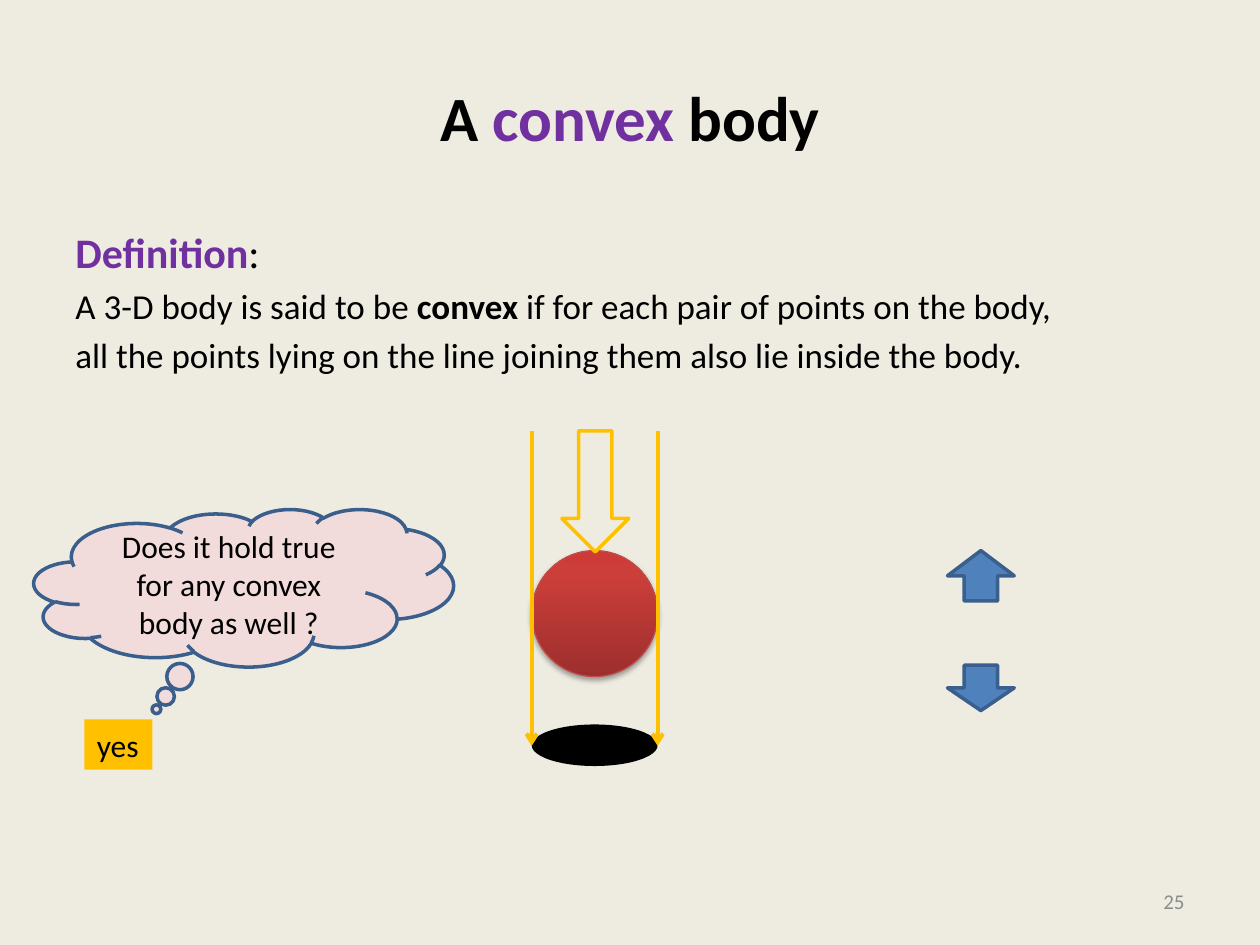
from dataclasses import dataclass
from typing import Optional

from lxml import etree
from pptx import Presentation
from pptx.dml.color import RGBColor
from pptx.enum.shapes import MSO_CONNECTOR, MSO_SHAPE as Preset
from pptx.enum.text import MSO_ANCHOR as Anchor, PP_ALIGN as Align
from pptx.oxml import parse_xml
from pptx.oxml.ns import nsdecls, qn
from pptx.util import Inches, Pt

BACKGROUND = RGBColor(0xEE, 0xEC, 0xE1)
BLACK = RGBColor(0x00, 0x00, 0x00)
PURPLE = RGBColor(0x70, 0x30, 0xA0)
GRAY = RGBColor(0x8C, 0x8C, 0x8C)
GOLD = RGBColor(0xFF, 0xC0, 0x00)
PINK = RGBColor(0xF2, 0xDC, 0xDB)
BLUE = RGBColor(0x4F, 0x81, 0xBD)
DARK_BLUE = RGBColor(0x3A, 0x5F, 0x8C)
BALL_EDGE = RGBColor(0xBF, 0x4C, 0x48)
BALL_STOPS = [
    (0, RGBColor(0x9C, 0x2F, 0x2D)),
    (80, RGBColor(0xCB, 0x3E, 0x3A)),
    (100, RGBColor(0xCE, 0x3B, 0x37)),
]
FONT = "Calibri"


@dataclass
class Span:
    text: str
    size: float
    color: RGBColor = BLACK
    bold: bool = False


@dataclass
class Box:
    left: float
    top: float
    width: float
    height: float

    def lengths(self) -> list:
        return [Inches(v) for v in (self.left, self.top, self.width, self.height)]


@dataclass
class Figure:
    preset: Preset
    box: Box
    fill: Optional[RGBColor] = None
    line: Optional[RGBColor] = None
    line_width: float = 2


def write_paragraphs(shape, paragraphs: list, align: Align, anchor: Anchor,
                     wrap: bool = True, space_before: float = 0) -> None:
    frame = shape.text_frame
    frame.word_wrap = wrap
    frame.vertical_anchor = anchor
    for index, spans in enumerate(paragraphs):
        paragraph = frame.add_paragraph() if index else frame.paragraphs[0]
        paragraph.alignment = align
        if index and space_before:
            paragraph.space_before = Pt(space_before)
        for span in spans:
            run = paragraph.add_run()
            run.text = span.text
            run.font.name = FONT
            run.font.size = Pt(span.size)
            run.font.bold = span.bold
            run.font.color.rgb = span.color


def draw_figure(slide, figure: Figure):
    shape = slide.shapes.add_shape(figure.preset, *figure.box.lengths())
    shape.shadow.inherit = False
    if figure.fill is None:
        shape.fill.background()
    else:
        shape.fill.solid()
        shape.fill.fore_color.rgb = figure.fill
    if figure.line is None:
        shape.line.fill.background()
    else:
        shape.line.color.rgb = figure.line
        shape.line.width = Pt(figure.line_width)
    return shape


def shade_ball(ball) -> None:
    """Give the ball its gradient and soft shadow."""
    stops = "".join(
        f'<a:gs pos="{position * 1000}"><a:srgbClr val="{color}"/></a:gs>'
        for position, color in BALL_STOPS
    )
    properties = ball._element.spPr
    properties.replace(properties.find(qn("a:solidFill")), parse_xml(
        f'<a:gradFill {nsdecls("a")} rotWithShape="1"><a:gsLst>{stops}</a:gsLst>'
        '<a:lin ang="16200000" scaled="0"/></a:gradFill>'))
    properties.find(qn("a:effectLst")).append(parse_xml(
        f'<a:outerShdw {nsdecls("a")} blurRad="{Pt(3.1)}" dist="{Pt(1.8)}" '
        'dir="5400000" rotWithShape="0"><a:srgbClr val="000000">'
        '<a:alpha val="35000"/></a:srgbClr></a:outerShdw>'))


def draw_ray(slide, x: float, top: float, bottom: float) -> None:
    ray = slide.shapes.add_connector(
        MSO_CONNECTOR.STRAIGHT, Inches(x), Inches(top), Inches(x), Inches(bottom))
    ray.line.color.rgb = GOLD
    ray.line.width = Pt(2.25)
    etree.SubElement(ray.line._get_or_add_ln(), qn("a:tailEnd"), type="arrow")
    etree.SubElement(ray._element.spPr, qn("a:effectLst"))


def main() -> None:
    presentation = Presentation()
    presentation.slide_width = Inches(10)
    presentation.slide_height = Inches(7.5)
    slide = presentation.slides.add_slide(presentation.slide_layouts[6])
    slide.background.fill.solid()
    slide.background.fill.fore_color.rgb = BACKGROUND

    # Title, definition and slide number
    title = slide.shapes.add_textbox(*Box(0.5, 0.3, 9, 1.25).lengths())
    write_paragraphs(title, [[
        Span("A ", 36, bold=True),
        Span("convex", 36, PURPLE, True),
        Span(" body", 36, bold=True),
    ]], Align.CENTER, Anchor.MIDDLE)

    definition = slide.shapes.add_textbox(*Box(0.5, 1.75, 9, 4.95).lengths())
    write_paragraphs(definition, [
        [Span("Definition", 24, PURPLE, True), Span(":", 24)],
        [Span("A 3-D body is said to be ", 20), Span("convex", 20, bold=True),
         Span(" if for each pair of points on the body,", 20)],
        [Span("all the points lying on the line joining them also lie inside the body.", 20)],
    ], Align.LEFT, Anchor.TOP, space_before=4)

    number = slide.shapes.add_textbox(*Box(7.17, 6.95, 2.33, 0.4).lengths())
    write_paragraphs(number, [[Span("25", 12, GRAY)]], Align.RIGHT, Anchor.MIDDLE)

    # Ball, its shadow on the ground and the light falling on it
    ball_box = Box(4.22, 4.37, 1, 1)
    ball = draw_figure(slide, Figure(Preset.OVAL, ball_box, BLACK, BALL_EDGE, 0.75))
    shade_ball(ball)
    draw_figure(slide, Figure(Preset.OVAL, Box(ball_box.left, 5.75, 1, 0.33), BLACK))
    for x in (ball_box.left, ball_box.left + ball_box.width):
        draw_ray(slide, x, 3.42, 5.92)
    draw_figure(slide, Figure(Preset.DOWN_ARROW, Box(4.46, 3.42, 0.53, 0.96), line=GOLD))

    # Question in a thought cloud
    cloud = draw_figure(slide, Figure(
        Preset.CLOUD_CALLOUT, Box(0.27, 4.04, 3.33, 1.25), PINK, DARK_BLUE))
    cloud.adjustments[0] = -0.208
    cloud.adjustments[1] = 0.771
    write_paragraphs(cloud, [[Span("Does it hold true for any convex body as well ?", 18)]],
                     Align.CENTER, Anchor.MIDDLE)

    # Opposite arrows on the right
    for preset, top, height in ((Preset.DOWN_ARROW, 5.28, 0.36), (Preset.UP_ARROW, 4.37, 0.4)):
        draw_figure(slide, Figure(preset, Box(7.52, top, 0.53, height), BLUE, DARK_BLUE))

    # Answer
    answer = draw_figure(slide, Figure(Preset.RECTANGLE, Box(0.67, 5.71, 0.54, 0.4), GOLD))
    write_paragraphs(answer, [[Span("yes", 18)]], Align.LEFT, Anchor.TOP, wrap=False)

    presentation.save("out.pptx")


if __name__ == "__main__":
    main()
